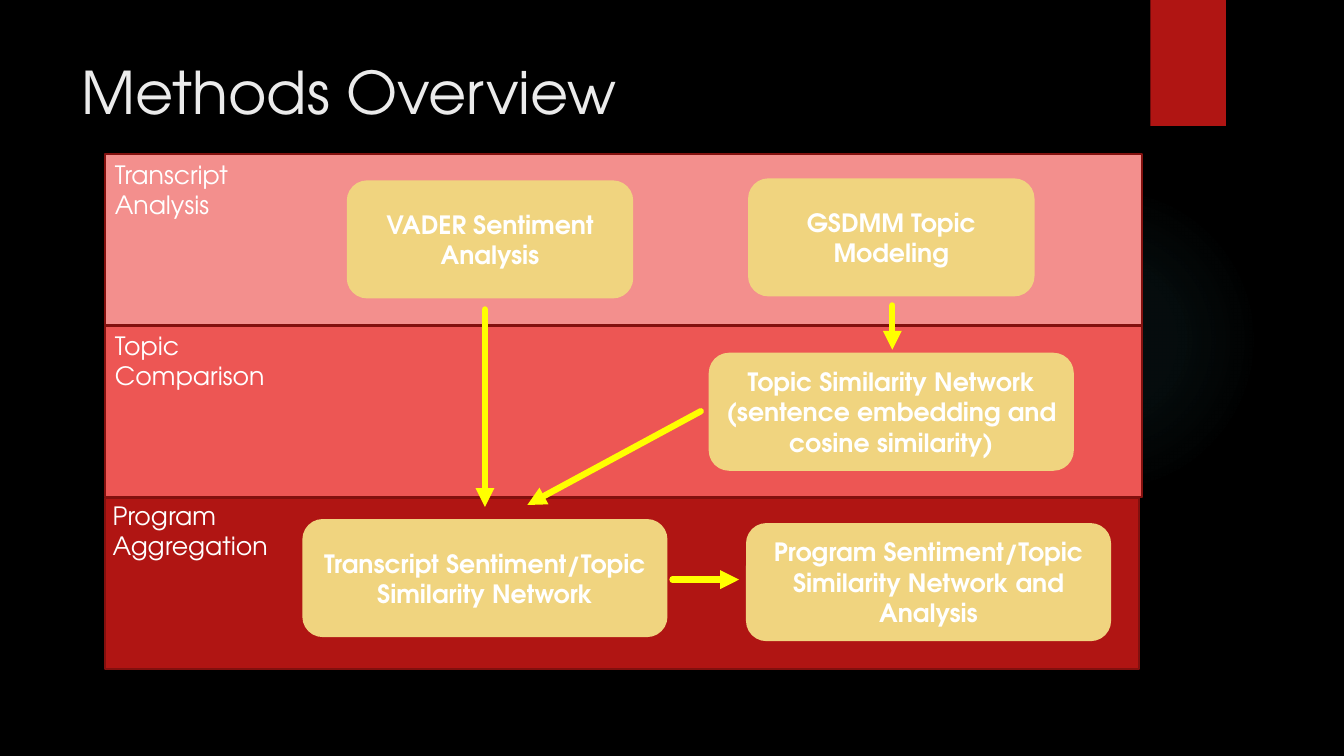
"""Build the Methods Overview slide: three stage bands with a flow of steps."""
from lxml.etree import SubElement
from pptx import Presentation
from pptx.dml.color import RGBColor
from pptx.enum.shapes import MSO_CONNECTOR, MSO_SHAPE
from pptx.enum.text import MSO_ANCHOR, PP_ALIGN
from pptx.oxml import parse_xml
from pptx.oxml.ns import nsdecls, qn
from pptx.util import Inches, Pt

FONT = "TeX Gyre Adventor"
COLORS = {
    "background": "000000", "title": "EBEBEB", "text": "FFFFFF",
    "glow": "50B9C1", "ribbon": "B01513", "band_line": "82100E",
    "step": "F0D47F", "arrow": "FFFF00",
}
TITLE = "Methods Overview"
BAND_LEFT, BAND_TOP, BAND_HEIGHT = 1.04, 1.53, 1.7
BANDS = [
    ("F38F8D", 10.29),
    ("ED5654", 10.29),
    ("B01513", 10.26),
]
LABELS = [
    ("Transcript Analysis", 1.04, 1.53, 1.73),
    ("Topic Comparison", 1.04, 3.23, 1.97),
    ("Program Aggregation", 1.02, 4.91, 1.97),
]
STEP_HEIGHT = 1.15
STEPS = [
    ("GSDMM Topic Modeling", 7.43, 1.78, 2.82),
    ("VADER Sentiment Analysis", 3.45, 1.8, 2.82),
    ("Topic Similarity Network (sentence embedding and cosine similarity)", 7.04, 3.51, 3.6),
    ("Transcript Sentiment/Topic Similarity Network", 3.01, 5.16, 3.6),
    ("Program Sentiment/Topic Similarity Network and Analysis", 7.41, 5.2, 3.6),
]
ARROWS = [
    (4.81, 3.07, 4.81, 5.03),
    (8.85, 3.03, 8.85, 3.47),
    (6.95, 4.08, 5.23, 5.01),
    (6.67, 5.75, 7.33, 5.75),
]
GLOW_STOPS = [(0, 7), (36, 6), (69, 0)]


def rgb(name):
    return RGBColor.from_string(COLORS.get(name, name))


def write(shape, text, size=18, color="text", bold=False, align=PP_ALIGN.LEFT,
          anchor=MSO_ANCHOR.TOP):
    frame = shape.text_frame
    frame.word_wrap = True
    frame.vertical_anchor = anchor
    para = frame.paragraphs[0]
    para.alignment = align
    span = para.add_run()
    span.text = text
    span.font.name = FONT
    span.font.size = Pt(size)
    span.font.bold = bold
    span.font.color.rgb = rgb(color)


def add_box(page, kind, area, fill=None, line=None):
    box = page.shapes.add_shape(kind, *map(Inches, area))
    box.shadow.inherit = False
    if fill:
        box.fill.solid()
        box.fill.fore_color.rgb = rgb(fill)
    else:
        box.fill.background()
    if line:
        box.line.color.rgb = rgb(line)
        box.line.width = Pt(1.5)
    else:
        box.line.fill.background()
    return box


def add_glow(page):
    glow = add_box(page, MSO_SHAPE.OVAL, (9.41, 1.83, 3.08, 3.08))
    stops = "".join(
        f'<a:gs pos="{place * 1000}"><a:srgbClr val="{COLORS["glow"]}">'
        f'<a:alpha val="{alpha * 1000}"/></a:srgbClr></a:gs>'
        for place, alpha in GLOW_STOPS)
    gradient = parse_xml(
        f'<a:gradFill {nsdecls("a")}><a:gsLst>{stops}</a:gsLst><a:path path="circle">'
        '<a:fillToRect l="50000" t="50000" r="50000" b="50000"/></a:path></a:gradFill>')
    properties = glow.element.spPr
    properties.replace(properties.find(qn("a:noFill")), gradient)


def add_arrow(page, ends):
    arrow = page.shapes.add_connector(MSO_CONNECTOR.STRAIGHT, *map(Inches, ends))
    arrow.line.color.rgb = rgb("arrow")
    arrow.line.width = Pt(4.5)
    properties = arrow.element.spPr
    line = properties.find(qn("a:ln"))
    line.set("cap", "rnd")
    SubElement(line, qn("a:tailEnd"), type="triangle")
    SubElement(properties, qn("a:effectLst"))


def main():
    deck = Presentation()
    deck.slide_width, deck.slide_height = Inches(13.33), Inches(7.5)
    page = deck.slides.add_slide(deck.slide_layouts[5])
    page.background.fill.solid()
    page.background.fill.fore_color.rgb = rgb("background")

    title = page.shapes.title
    title.left, title.top, title.width, title.height = map(Inches, (0.71, 0.5, 10.29, 1.53))
    write(title, TITLE, size=42, color="title")

    add_glow(page)
    add_box(page, MSO_SHAPE.RECTANGLE, (11.41, 0, 0.75, 1.25), fill="ribbon")
    for row, (fill, width) in enumerate(BANDS):
        top = BAND_TOP + row * (BAND_HEIGHT + 0.005)
        add_box(page, MSO_SHAPE.RECTANGLE, (BAND_LEFT, top, width, BAND_HEIGHT),
                fill=fill, line="band_line")
    for text, left, top, width in LABELS:
        label = page.shapes.add_textbox(*map(Inches, (left, top, width, 0.71)))
        write(label, text)
    for text, left, top, width in STEPS:
        step = add_box(page, MSO_SHAPE.ROUNDED_RECTANGLE, (left, top, width, STEP_HEIGHT),
                       fill="step", line="step")
        write(step, text, bold=True, align=PP_ALIGN.CENTER, anchor=MSO_ANCHOR.MIDDLE)
    for ends in ARROWS:
        add_arrow(page, ends)
    deck.save("out.pptx")


if __name__ == "__main__":
    main()
